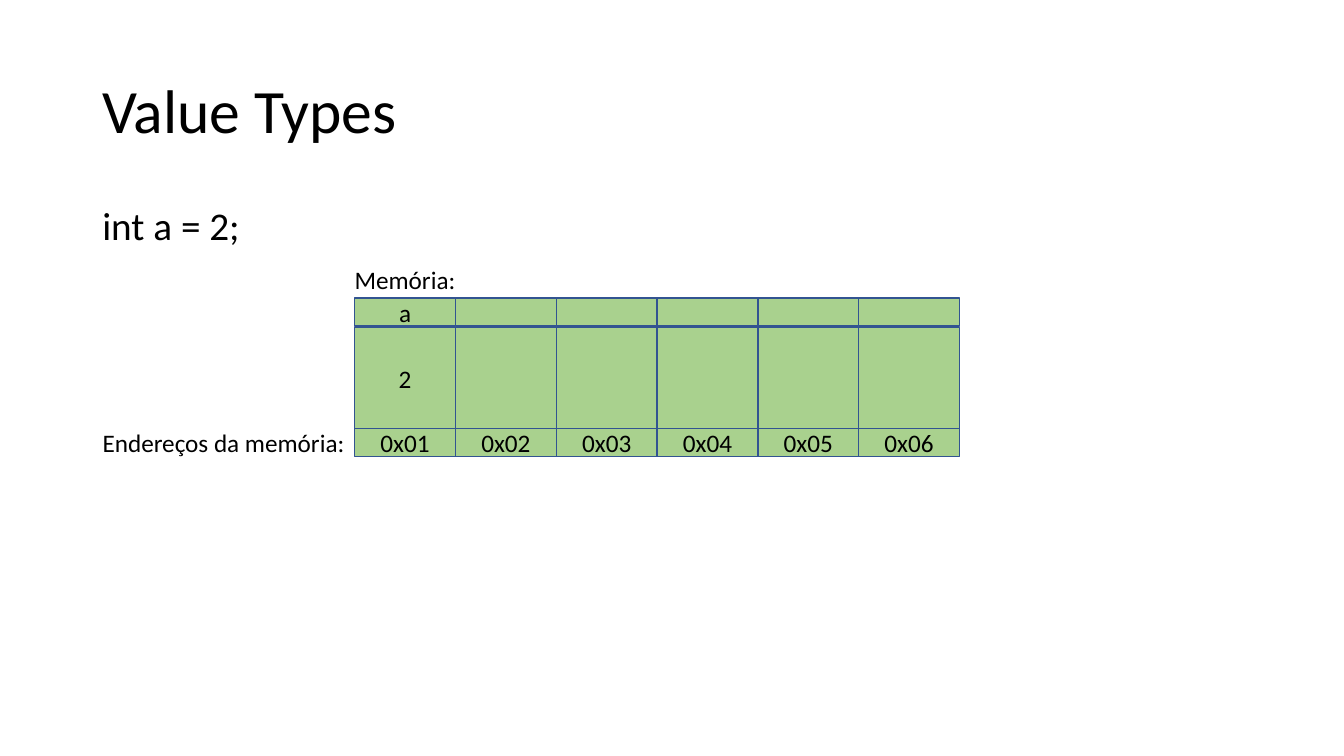
from pptx import Presentation
from pptx.dml.color import RGBColor
from pptx.enum import shapes, text
from pptx.util import Pt

BLACK = RGBColor(0x00, 0x00, 0x00)
GREEN = RGBColor(0xA9, 0xD1, 0x8E)
BLUE = RGBColor(0x32, 0x54, 0x91)

CELL_WIDTH = 72
ROWS = [  # top within the memory grid, height, cell texts
    (72 + 21, 20, [f"0x{number:02}" for number in range(1, 7)]),
    (21, 72, ["2"] + [""] * 5),
    (0, 20, ["a"] + [""] * 5),
]


def write(frame, wording, size, anchor=text.MSO_ANCHOR.TOP, **paragraph_format):
    """Put one formatted paragraph into a text frame."""
    frame.word_wrap = True
    frame.vertical_anchor = anchor
    paragraph = frame.paragraphs[0]
    for name, value in paragraph_format.items():
        setattr(paragraph, name, value)
    run = paragraph.add_run()
    run.text = wording
    for name, value in {"name": "Calibri", "size": Pt(size)}.items():
        setattr(run.font, name, value)
    run.font.color.rgb = BLACK


def add_text(slide, box, wording, size, **formats):
    """Add a text box; box is left, top, width, height."""
    label = slide.shapes.add_textbox(*map(Pt, box))
    write(label.text_frame, wording, size, **formats)


def add_cell(slide, box, wording):
    """Add one memory cell, with centred text if it holds any."""
    cell = slide.shapes.add_shape(shapes.MSO_SHAPE.RECTANGLE, *map(Pt, box))
    cell.shadow.inherit = False
    cell.fill.solid()
    cell.fill.fore_color.rgb = GREEN
    cell.line.color.rgb = BLUE
    cell.line.width = Pt(1)
    if wording:
        write(cell.text_frame, wording, 18, text.MSO_ANCHOR.MIDDLE,
              alignment=text.PP_ALIGN.CENTER)


def add_heading(slide, left, top, width):
    """Add the title and the code statement below it."""
    add_text(slide, (left, top, width, 104.4), "Value Types", 44,
             anchor=text.MSO_ANCHOR.MIDDLE, line_spacing=0.9)
    add_text(slide, (left, top + 115, width, 342.6), "int a = 2;", 28,
             line_spacing=0.9, space_before=Pt(10))


def add_memory(slide, left, top):
    """Add the memory grid with its two labels around it."""
    for row_top, height, wordings in ROWS:
        for column, wording in enumerate(wordings):
            box = (left + column * CELL_WIDTH, top + row_top, CELL_WIDTH, height)
            add_cell(slide, box, wording)
    add_text(slide, (left - 7.2, top - 28, 86.4, 29), "Memória:", 18)
    add_text(slide, (left - 187.2, top + 88.6, 208, 29),
             "Endereços da memória:", 18)


presentation = Presentation()
presentation.slide_width = Pt(960)
presentation.slide_height = Pt(540)
value_types = presentation.slides.add_slide(presentation.slide_layouts[6])
add_heading(value_types, 66, 28.8, 828)
add_memory(value_types, 253.4, 213)
presentation.save("out.pptx")
